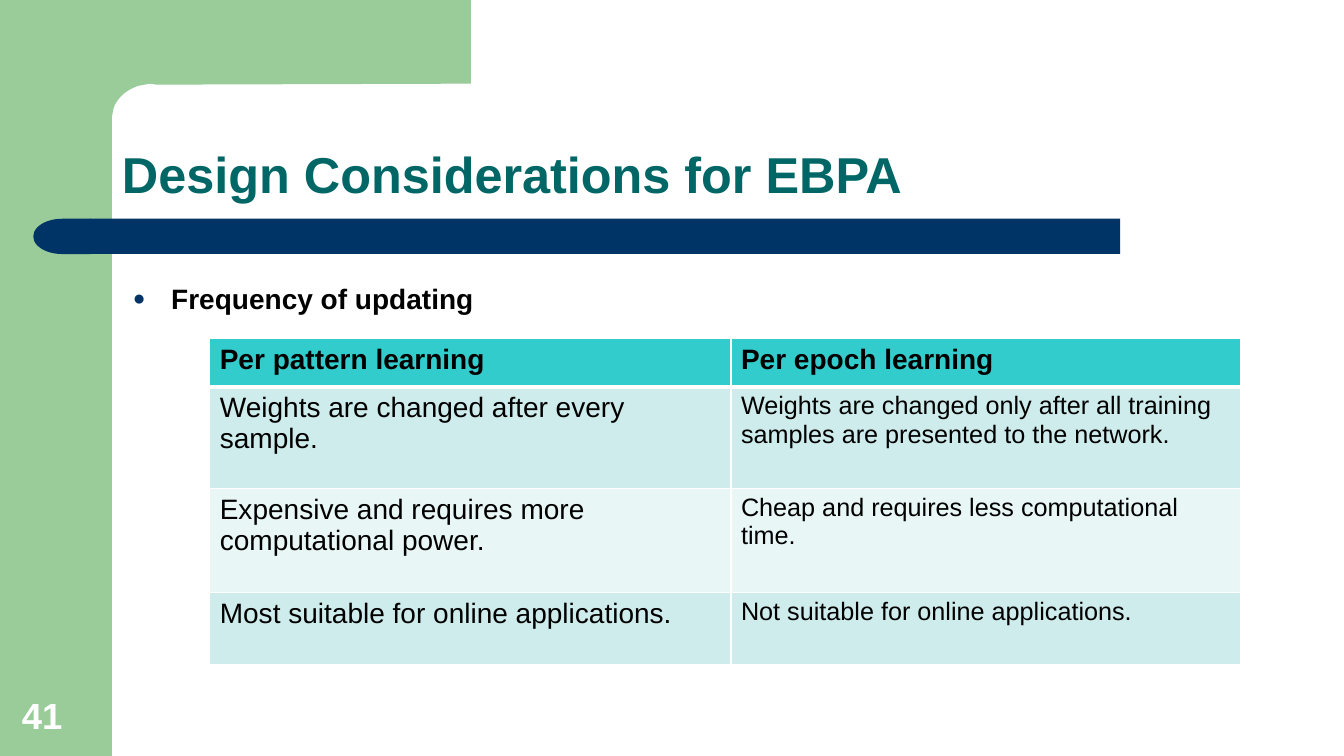
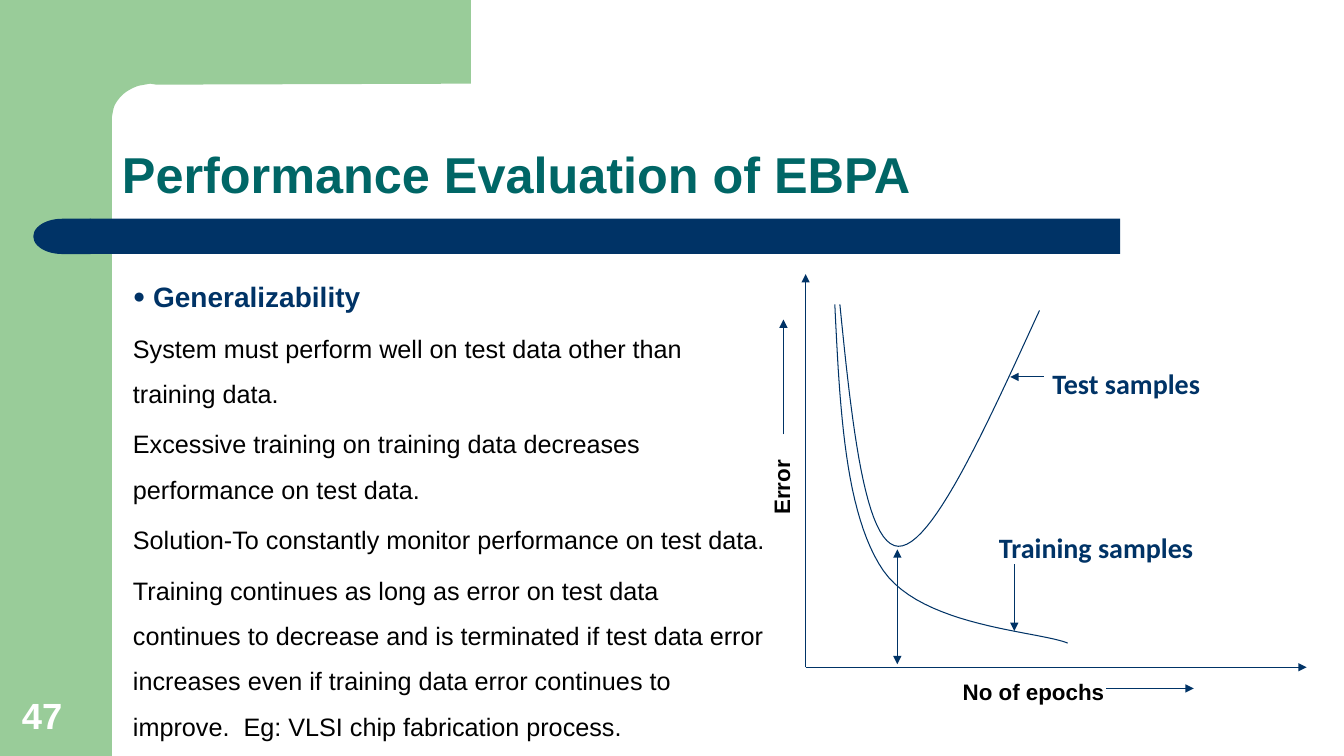
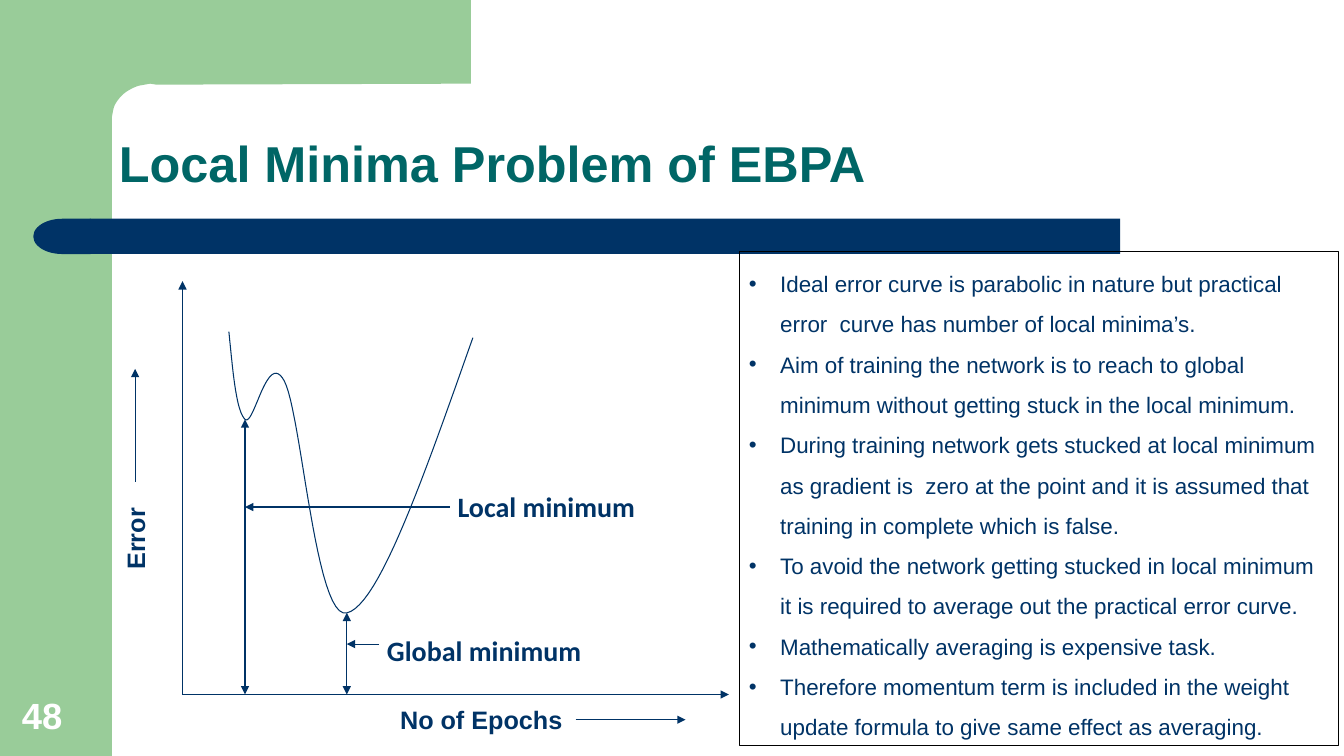
import dataclasses

import lxml.etree
import pptx
import pptx.dml.color
import pptx.enum.dml
import pptx.enum.shapes
import pptx.enum.text
import pptx.oxml.ns
import pptx.util

Inches = pptx.util.Inches
Pt = pptx.util.Pt
SHAPE = pptx.enum.shapes.MSO_SHAPE
ANCHOR = pptx.enum.text.MSO_ANCHOR


@dataclasses.dataclass(frozen=True)
class Theme:
    green: str = "99CC99"
    navy: str = "003366"
    teal: str = "006666"
    black: str = "000000"
    white: str = "FFFFFF"
    header: str = "33CCCC"
    odd_row: str = "CEECEC"
    even_row: str = "E8F6F6"
    font: str = "Arial"
    label_font: str = "Calibri"
    title: int = 36
    number: int = 26
    head: int = 20
    body: int = 18
    small: int = 16
    line: float = 0.75


T = Theme()


def rgb(value):
    return pptx.dml.color.RGBColor.from_string(value)


def assign(obj, values):
    for name, value in values.items():
        setattr(obj, name, value)


def sub(parent, tag, **attrs):
    return lxml.etree.SubElement(parent, pptx.oxml.ns.qn(tag), attrs)


def write(p, text, size, color=T.black, bold=False, font=T.font):
    r = p.add_run()
    r.text = text
    assign(r.font, {"name": font, "size": Pt(size), "bold": bold})
    r.font.color.rgb = rgb(color)


def bullet(p, char, indent, color=T.navy, percent=100):
    pPr = p._p.get_or_add_pPr()
    pPr.set("marL", str(Inches(indent)))
    pPr.set("indent", str(-Inches(indent)))
    sub(sub(pPr, "a:buClr"), "a:srgbClr", val=color)
    sub(pPr, "a:buSzPct", val=str(percent * 1000))
    sub(pPr, "a:buFont", typeface=T.font)
    sub(pPr, "a:buChar", char=char)


def paint(sp, fill=None, line=None):
    sp.shadow.inherit = False
    if fill:
        sp.fill.solid()
        sp.fill.fore_color.rgb = rgb(fill)
    else:
        sp.fill.background()
    if line:
        sp.line.color.rgb = rgb(line)
        sp.line.width = Pt(T.line)
    else:
        sp.line.fill.background()
    return sp


def textbox(s, box, **values):
    sp = s.shapes.add_textbox(*map(Inches, box))
    assign(sp.text_frame, {"word_wrap": True, **values})
    return sp


def label(s, box, text, size, color=T.navy, font=T.font, rotation=0):
    sp = textbox(s, box, margin_right=0)
    sp.rotation = rotation
    write(sp.text_frame.paragraphs[0], text, size, color, True, font)


def bezier(points, steps=24):
    out = [points[0]]
    for i in range(0, len(points) - 1, 3):
        quad = points[i:i + 4]
        for n in range(1, steps + 1):
            t = n / steps
            weights = ((1 - t) ** 3, 3 * t * (1 - t) ** 2, 3 * t * t * (1 - t), t ** 3)
            out.append(tuple(sum(w * pt[k] for w, pt in zip(weights, quad)) for k in (0, 1)))
    return out


def outline(s, points, close=False):
    pts = [(Inches(x), Inches(y)) for x, y in points]
    fb = s.shapes.build_freeform(*pts[0])
    fb.add_line_segments(pts[1:], close=close)
    return fb.convert_to_shape()


def arrow(s, start, end, both=False):
    c = s.shapes.add_connector(pptx.enum.shapes.MSO_CONNECTOR.STRAIGHT,
                               *map(Inches, (*start, *end)))
    c.line.color.rgb = rgb(T.navy)
    c.line.width = Pt(T.line)
    ln = c.line._get_or_add_ln()
    if both:
        sub(ln, "a:headEnd", type="triangle")
    sub(ln, "a:tailEnd", type="triangle")
    sub(c._element.spPr, "a:effectLst")


def decorate_layout(layout, s):
    for ph in list(layout.placeholders):
        if ph.placeholder_format.idx:
            ph.element.getparent().remove(ph.element)
    corner = bezier([(1.38, 0.85), (1.34, 0.86), (1.28, 0.89), (1.24, 0.92),
                     (1.2, 0.95), (1.16, 1), (1.14, 1.04),
                     (1.12, 1.08), (1.12, 1.12), (1.11, 1.16)], 6)
    block = [(0.67, 0), (4.67, 0), (4.67, 0.83), (1.55, 0.84), (1.49, 0.83),
             *corner, (1.11, 1.28), (0.67, 1.28)]
    parts = [paint(outline(s, block, True), T.green)]
    for kind, box, fill, turn in [
            (SHAPE.RECTANGLE, (0, 0, 1.11, 7.5), T.green, 0),
            (SHAPE.RECTANGLE, (0.89, 2.17, 10.22, 0.35), T.navy, 0),
            (SHAPE.FLOWCHART_DELAY, (0.33, 2.17, 0.57, 0.35), T.navy, 180)]:
        sp = paint(s.shapes.add_shape(kind, *map(Inches, box)), fill)
        sp.rotation = turn
        parts.append(sp)
    for i, sp in enumerate(parts):
        layout.shapes.element.insert(2 + i, sp.element)


def add_slide(prs, title, number, box):
    layout = prs.slide_layouts[5]
    s = prs.slides.add_slide(layout)
    if len(prs.slides) == 1:
        decorate_layout(layout, s)
    sp = s.shapes.title
    assign(sp, dict(zip(("left", "top", "width", "height"), map(Inches, box))))
    tf = sp.text_frame
    assign(tf, {"word_wrap": True, "vertical_anchor": ANCHOR.BOTTOM,
                "auto_size": pptx.enum.text.MSO_AUTO_SIZE.NONE})
    p = tf.paragraphs[0]
    assign(p, {"alignment": pptx.enum.text.PP_ALIGN.LEFT, "line_spacing": 0.9})
    write(p, title, T.title, T.teal, True)
    sp = textbox(s, (0.12, 6.83, 0.86, 0.53), vertical_anchor=ANCHOR.BOTTOM)
    write(sp.text_frame.paragraphs[0], number, T.number, T.white, True)
    return s


def comparison_table(s, box, cols, heights, rows):
    shape = s.shapes.add_table(len(rows), len(cols), *map(Inches, box))
    table = shape.table
    for col, width in zip(table.columns, cols):
        col.width = Inches(width)
    for i, (row, height) in enumerate(zip(rows, heights)):
        table.rows[i].height = Inches(height)
        fill = T.header if i == 0 else (T.even_row, T.odd_row)[i % 2]
        for j, text in enumerate(row):
            cell = table.cell(i, j)
            size = T.body if i and j else T.head
            write(cell.text_frame.paragraphs[0], text, size, bold=i == 0)
            tcPr = cell._tc.get_or_add_tcPr()
            for side in "LRTB":
                thick = (i, side) in ((0, "B"), (1, "T"))
                ln = sub(tcPr, "a:ln" + side, w=str(Pt(3 if thick else 1)))
                sub(sub(ln, "a:solidFill"), "a:srgbClr", val=T.white)
            cell.fill.solid()
            cell.fill.fore_color.rgb = rgb(fill)


def error_plot(s, box, curves, labels, axis_titles, arrows, spans):
    left, top, width, height = box

    def at(x, y):
        return left + x, top + y

    arrow(s, at(0, height), at(width, height))
    arrow(s, at(0, height), at(0, 0))
    for points in curves:
        paint(outline(s, bezier([at(*pt) for pt in points])), line=T.navy)
    for group, both in ((arrows, False), (spans, True)):
        for x1, y1, x2, y2 in group:
            arrow(s, at(x1, y1), at(x2, y2), both)
    for text, (x, y, w, h) in labels:
        label(s, (*at(x, y), w, h), text, T.head, font=T.label_font)
    for text, (x, y, w, h), size, color, turn in axis_titles:
        label(s, (*at(x, y), w, h), text, size, color, rotation=turn)


def frequency_slide(prs):
    s = add_slide(prs, "Design Considerations for EBPA", "41", (1.11, 0.83, 11.56, 1.25))
    p = textbox(s, (1.22, 2.58, 11.22, 0.6)).text_frame.paragraphs[0]
    bullet(p, "●", 0.38, percent=75)
    p.line_spacing = 1.5
    write(p, "Frequency of updating", T.head, bold=True)
    comparison_table(s, (2.08, 3.36, 10.22, 3.23), (5.17, 5.05), (0.48, 1.01, 1.03, 0.71), [
        ("Per pattern learning", "Per epoch learning"),
        ("Weights are changed after every sample.",
         "Weights are changed only after all training samples are presented to the network."),
        ("Expensive and requires more computational power.",
         "Cheap and requires less computational time."),
        ("Most suitable for online applications.", "Not suitable for online applications.")])


def generalizability_slide(prs):
    s = add_slide(prs, "Performance Evaluation of EBPA", "47", (1.11, 0.83, 8.34, 1.25))
    tf = textbox(s, (1.22, 2.58, 6.48, 4.92), margin_top=Inches(0.19)).text_frame
    p = tf.paragraphs[0]
    bullet(p, "●", 0.2, percent=75)
    write(p, "Generalizability", T.head, T.navy, True)
    for text in (
            "System must perform well on test data other than training data.",
            "Excessive training on training data decreases performance on test data.",
            "Solution-To constantly monitor performance on test data.",
            "Training continues as long as error on test data continues to decrease and is "
            "terminated if test data error increases even if training data error continues "
            "to improve.  Eg: VLSI chip fabrication process."):
        p = tf.add_paragraph()
        assign(p, {"line_spacing": 1.5, "space_before": Pt(3.6)})
        write(p, text, T.body)
    error_plot(
        s, (7.99, 2.72, 4.97, 3.9),
        curves=[
            [(0.34, 0.3), (0.46, 1.5), (0.59, 2.69), (0.92, 2.7),
             (1.25, 2.71), (1.78, 1.54), (2.32, 0.36)],
            [(0.29, 0.3), (0.34, 1.34), (0.39, 2.38), (0.77, 2.94),
             (1.16, 3.5), (2.3, 3.54), (2.6, 3.66)]],
        labels=[("Test samples", (2.35, 0.87, 2, 0.44)),
                ("Training samples", (1.82, 2.49, 2.53, 0.44))],
        axis_titles=[("No of epochs", (1.46, 3.96, 1.62, 0.37), T.small, T.black, 0),
                     ("Error", (-0.66, 1.88, 0.84, 0.37), T.small, T.black, 270)],
        arrows=[(2.36, 1.02, 2.03, 1.02), (2.07, 2.88, 2.07, 3.54),
                (-0.22, 1.59, -0.22, 0.45), (2.98, 4.11, 3.85, 4.11)],
        spans=[(0.91, 2.73, 0.91, 3.87)])


def local_minima_slide(prs):
    s = add_slide(prs, "Local Minima Problem of EBPA", "48", (1.08, 0.72, 7.92, 1.25))
    error_plot(
        s, (1.81, 2.79, 5.42, 4.1),
        curves=[[(0.46, 0.5), (0.5, 0.89), (0.53, 1.28), (0.62, 1.37),
                 (0.71, 1.45), (0.84, 0.67), (1.01, 0.99),
                 (1.18, 1.31), (1.32, 3.37), (1.63, 3.29),
                 (1.95, 3.22), (2.41, 1.89), (2.88, 0.56)]],
        labels=[("Global minimum", (1.93, 3.45, 2.47, 0.44)),
                ("Local minimum", (2.63, 2.02, 2.3, 0.44))],
        axis_titles=[("No of Epochs", (2.06, 4.15, 1.83, 0.4), T.body, T.navy, 0),
                     ("Error", (-0.88, 2.35, 0.82, 0.4), T.body, T.navy, 270)],
        arrows=[(1.95, 3.6, 1.63, 3.6), (2.65, 2.24, 0.62, 2.24),
                (-0.47, 1.99, -0.47, 0.87), (3.9, 4.35, 4.99, 4.35)],
        spans=[(1.63, 3.29, 1.63, 4.1), (0.62, 1.37, 0.62, 4.1)])
    sp = paint(textbox(s, (7.33, 2.5, 5.95, 4.9)), line=T.black)
    tf = sp.text_frame
    for i, text in enumerate((
            "Ideal error curve is parabolic in nature but practical error  curve has number "
            "of local minima’s.",
            "Aim of training the network is to reach to global minimum without getting stuck "
            "in the local minimum.",
            "During training network gets stucked at local minimum as gradient is  zero at "
            "the point and it is assumed that training in complete which is false.",
            "To avoid the network getting stucked in local minimum it is required to average "
            "out the practical error curve.",
            "Mathematically averaging is expensive task.",
            "Therefore momentum term is included in the weight update formula to give same "
            "effect as averaging.")):
        p = tf.add_paragraph() if i else tf.paragraphs[0]
        bullet(p, "•", 0.31)
        p.line_spacing = 1.5
        write(p, text, T.small, T.navy)


def main():
    prs = pptx.Presentation()
    assign(prs, {"slide_width": Inches(13.33), "slide_height": Inches(7.5)})
    frequency_slide(prs)
    generalizability_slide(prs)
    local_minima_slide(prs)
    prs.save("out.pptx")


if __name__ == "__main__":
    main()
